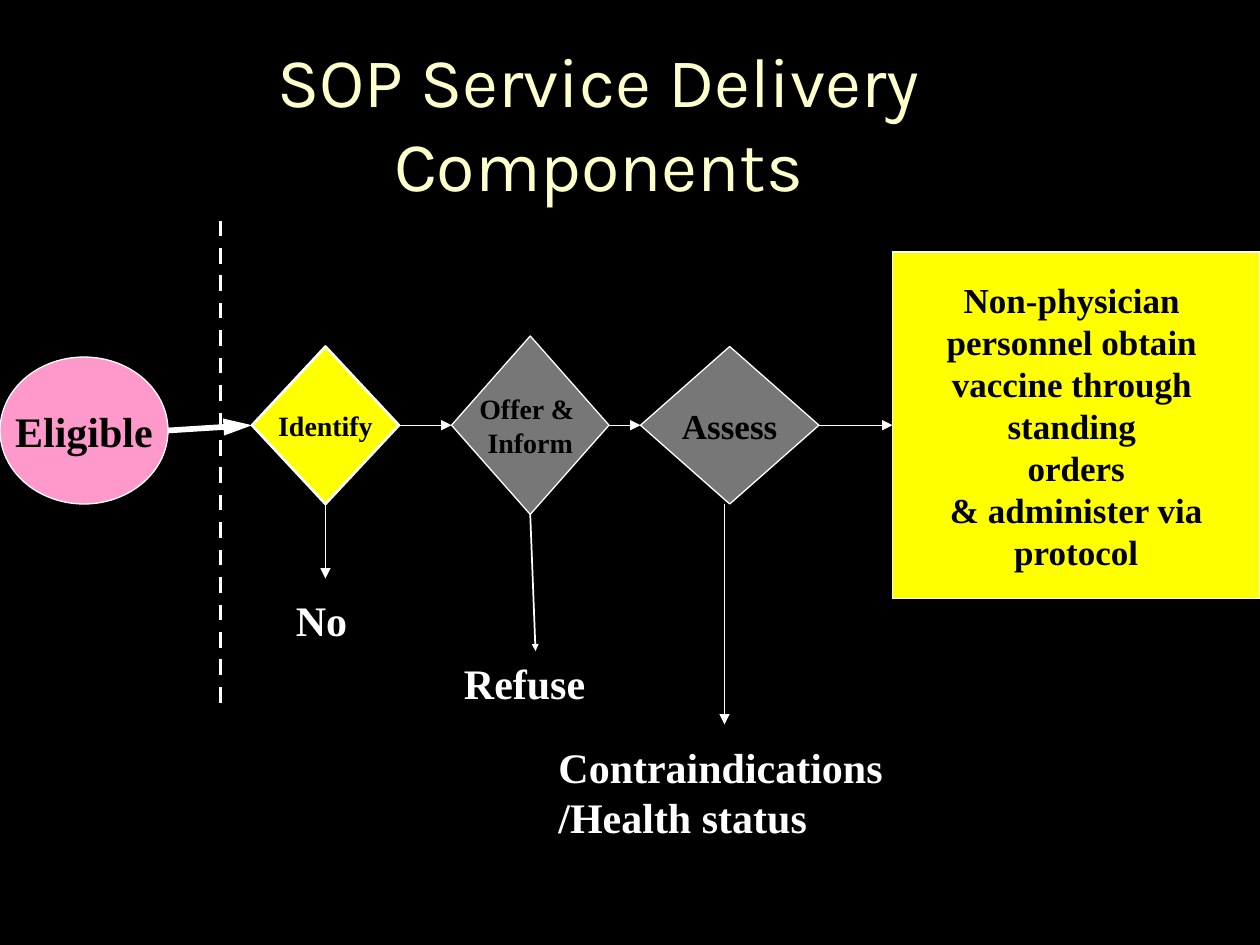
from lxml import etree
from pptx import Presentation
from pptx.dml.color import RGBColor
from pptx.enum.dml import MSO_LINE
from pptx.enum.shapes import MSO_CONNECTOR, MSO_SHAPE
from pptx.enum.text import MSO_ANCHOR, MSO_AUTO_SIZE, PP_ALIGN
from pptx.oxml.ns import qn
from pptx.util import Emu, Pt

PX = 7620  # EMU, 120 px to the inch
COLORS = {
    "background": "000000",
    "title": "FFFFCC",
    "white": "FFFFFF",
    "ink": "000000",
    "pink": "FF99CC",
    "yellow": "FFFF00",
    "gray": "777777",
}
TITLE_FONT, BODY_FONT = "Karla", "Times New Roman"
ELLIPSE, DIAMOND, RECTANGLE = MSO_SHAPE.OVAL, MSO_SHAPE.DIAMOND, MSO_SHAPE.RECTANGLE
STRAIGHT, DASH = MSO_CONNECTOR.STRAIGHT, MSO_LINE.DASH
CENTER, LEFT = PP_ALIGN.CENTER, PP_ALIGN.LEFT
TOP, MIDDLE = MSO_ANCHOR.TOP, MSO_ANCHOR.MIDDLE
NO_AUTOFIT, GROW = MSO_AUTO_SIZE.NONE, MSO_AUTO_SIZE.SHAPE_TO_FIT_TEXT
LEFT_SIDE, BOTTOM_SIDE, RIGHT_SIDE = 1, 2, 3


def px(*lengths):
    return [Emu(length * PX) for length in lengths]


def rgb(name):
    return RGBColor.from_string(COLORS[name])


def write(shape, lines, size, color, alignment, font=BODY_FONT, bold=True):
    frame = shape.text_frame
    frame.text = "\n".join(lines)
    for paragraph in frame.paragraphs:
        paragraph.alignment = alignment
        paragraph.font.name = font
        paragraph.font.size = Pt(size)
        paragraph.font.bold = bold
        paragraph.font.color.rgb = rgb(color)


def place_title(slide, box, text):
    title = slide.shapes.title
    title.left, title.top, title.width, title.height = px(*box)
    write(title, [text], 40, "title", CENTER, TITLE_FONT, False)
    title.text_frame.vertical_anchor = TOP
    title.text_frame.auto_size = NO_AUTOFIT


def add_step(slide, kind, box, fill, lines, size, border=0.75):
    step = slide.shapes.add_shape(kind, *px(*box))
    step.shadow.inherit = False
    step.fill.solid()
    step.fill.fore_color.rgb = rgb(fill)
    step.line.color.rgb = rgb("white")
    step.line.width = Pt(border)
    write(step, lines, size, "ink", CENTER)
    step.text_frame.vertical_anchor = MIDDLE
    step.text_frame.word_wrap = False
    return step


def add_outcome(slide, box, text):
    outcome = slide.shapes.add_textbox(*px(*box))
    outcome.text_frame.word_wrap = True
    outcome.text_frame.auto_size = GROW
    write(outcome, [text], 24, "white", LEFT)


def add_line(slide, start, end, width=0.75):
    line = slide.shapes.add_connector(STRAIGHT, *px(*start, *end))
    line.line.color.rgb = rgb("white")
    line.line.width = Pt(width)
    etree.SubElement(line._element.spPr, qn("a:effectLst"))
    return line


def add_arrow(slide, start, end, width=0.75, head_width="med", head_length="med"):
    arrow = add_line(slide, start, end, width)
    etree.SubElement(arrow.line._get_or_add_ln(), qn("a:tailEnd"),
                     type="triangle", w=head_width, len=head_length)
    return arrow


def add_flow(slide, left, top):
    """Steps from eligibility to vaccination, with the exits below them."""
    def at(x, y, *size):
        return (left + x, top + y, *size)

    axis = 165
    add_line(slide, at(210, -30), at(210, 440), 2.25).line.dash_style = DASH

    add_step(slide, ELLIPSE, at(0, 100, 160, 140), "pink", ["Eligible"], 24)
    identify = add_step(slide, DIAMOND, at(240, 90, 140, 150), "yellow",
                        ["Identify"], 16, 1.5)
    offer = add_step(slide, DIAMOND, at(430, 80, 150, 170), "gray",
                     ["Offer & ", "Inform"], 16)
    assess = add_step(slide, DIAMOND, at(610, 90, 170, 150), "gray", ["Assess"], 20)
    vaccinate = add_step(slide, RECTANGLE, at(850, 0, 350, 330), "yellow", [
        "Non-physician ", "personnel obtain ", "vaccine through ", "standing ",
        "orders", "& administer via", "protocol"], 20)

    entry = add_arrow(slide, at(160, 170), at(240, axis), 3.25, head_length="lg")
    entry.end_connect(identify, LEFT_SIDE)
    steps = [identify, offer, assess, vaccinate]
    for source, target in zip(steps, steps[1:]):
        link = add_arrow(slide, at(0, axis), at(0, axis))
        link.begin_connect(source, RIGHT_SIDE)
        link.end_connect(target, LEFT_SIDE)

    no_exit = add_arrow(slide, at(310, 240), at(310, 311))
    no_exit.begin_connect(identify, BOTTOM_SIDE)
    refuse_exit = add_arrow(slide, at(505, 250), at(510, 380), 1, "sm", "sm")
    refuse_exit.begin_connect(offer, BOTTOM_SIDE)
    add_arrow(slide, at(690, 240), at(690, 450))

    add_outcome(slide, at(270, 320, 90, 60), "No")
    add_outcome(slide, at(430, 380, 160, 60), "Refuse")
    add_outcome(slide, at(520, 460, 340, 108), "Contraindications/Health status")


def main():
    presentation = Presentation()
    presentation.slide_width, presentation.slide_height = px(1200, 900)
    slide = presentation.slides.add_slide(presentation.slide_layouts[5])
    slide.background.fill.solid()
    slide.background.fill.fore_color.rgb = rgb("background")
    place_title(slide, (130, 30, 880, 173), "SOP Service Delivery Components")
    add_flow(slide, 0, 240)
    presentation.save("out.pptx")


if __name__ == "__main__":
    main()
